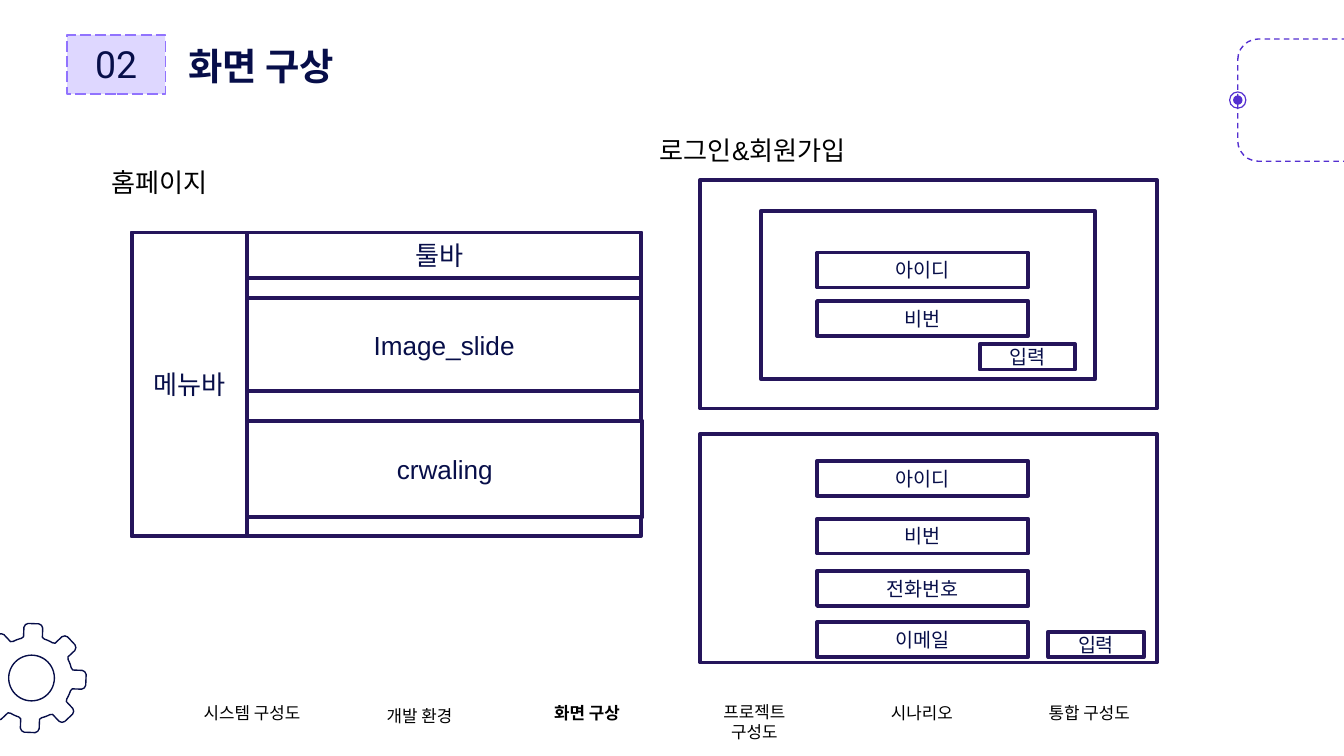
from math import asin, cos, pi, radians, sin

from pptx import Presentation
from pptx.dml.color import RGBColor
from pptx.enum.dml import MSO_LINE
from pptx.enum.shapes import MSO_SHAPE
from pptx.enum.text import MSO_ANCHOR, MSO_AUTO_SIZE, PP_ALIGN
from pptx.util import Inches, Pt

COLORS = {
    "white": "FFFFFF",
    "black": "000000",
    "navy": "070E49",
    "frame": "25155B",
    "violet": "542FD0",
    "lilac": "DED7FF",
    "lilac_edge": "9173FE",
}


def color(key):
    return RGBColor.from_string(COLORS[key])


def paint(shape, fill=None, line=None, weight=0.75, dash=None):
    shape.shadow.inherit = False
    if fill:
        shape.fill.solid()
        shape.fill.fore_color.rgb = color(fill)
    else:
        shape.fill.background()
    if line:
        shape.line.color.rgb = color(line)
        shape.line.width = Pt(weight)
        if dash:
            shape.line.dash_style = dash
    else:
        shape.line.fill.background()


def write(shape, text, size, ink, font="Arial", bold=False,
          align=PP_ALIGN.CENTER, anchor=MSO_ANCHOR.MIDDLE):
    frame = shape.text_frame
    frame.text = text
    frame.word_wrap = True
    frame.vertical_anchor = anchor
    for paragraph in frame.paragraphs:
        paragraph.alignment = align
        for run in paragraph.runs:
            run.font.name = font
            run.font.size = Pt(size)
            run.font.bold = bold
            run.font.color.rgb = color(ink)


def add_shape(slide, kind, left, top, width, height, **style):
    shape = slide.shapes.add_shape(
        kind, Inches(left), Inches(top), Inches(width), Inches(height))
    paint(shape, **style)
    return shape


def add_panel(slide, left, top, width, height, text="", size=14):
    panel = add_shape(slide, MSO_SHAPE.RECTANGLE, left, top, width, height,
                      fill="white", line="frame", weight=2)
    if text:
        write(panel, text, size, "navy")
    return panel


def add_label(slide, left, top, width, height, text, size, **style):
    label = slide.shapes.add_textbox(
        Inches(left), Inches(top), Inches(width), Inches(height))
    write(label, text, size, "black", anchor=MSO_ANCHOR.TOP, **style)
    label.text_frame.auto_size = MSO_AUTO_SIZE.SHAPE_TO_FIT_TEXT


def add_gear(slide, left, top, size):
    teeth, body, tooth_half = 8, 0.305, 0.07
    center_x, center_y = left + size / 2, top + size / 2
    tip = size / 2
    profile = [(body, -tooth_half), (tip - 0.03, -tooth_half),
               (tip - 0.01, -0.06), (tip, -0.04), (tip, 0.04),
               (tip - 0.01, 0.06), (tip - 0.03, tooth_half), (body, tooth_half)]
    root = asin(tooth_half / body)
    step = 2 * pi / teeth
    for i in range(1, 6):
        angle = root + (step - 2 * root) * i / 6
        profile.append((body * cos(angle), body * sin(angle)))
    outline = []
    for tooth in range(teeth):
        turn = radians(2) + tooth * step
        outline += [(Inches(center_x + x * cos(turn) - y * sin(turn)),
                     Inches(center_y + x * sin(turn) + y * cos(turn)))
                    for x, y in profile]
    builder = slide.shapes.build_freeform(*outline[0])
    builder.add_line_segments(outline[1:], close=True)
    paint(builder.convert_to_shape(), line="navy")
    add_shape(slide, MSO_SHAPE.OVAL, center_x - 0.17, center_y - 0.17,
              0.34, 0.34, line="navy")


def add_corner_tab(slide, left, top, width, height):
    tab = add_shape(slide, MSO_SHAPE.ROUNDED_RECTANGLE, left, top, width, height,
                    line="violet", dash=MSO_LINE.DASH)
    tab.adjustments[0] = 0.169
    middle = top + height / 2
    add_shape(slide, MSO_SHAPE.OVAL, left - 0.035, middle - 0.035,
              0.07, 0.07, fill="violet")
    ring = add_shape(slide, MSO_SHAPE.DONUT, left - 0.065, middle - 0.065,
                     0.13, 0.13, fill="violet")
    ring.adjustments[0] = 0.07


def add_header(slide, left, top):
    title = slide.shapes.title
    title.left, title.top = Inches(left + 0.8), Inches(top - 0.04)
    title.width, title.height = Inches(2.29), Inches(0.52)
    write(title, "화면 구상", 20, "navy", font="Roboto", bold=True,
          align=PP_ALIGN.LEFT, anchor=MSO_ANCHOR.TOP)
    frame = title.text_frame
    frame.auto_size = MSO_AUTO_SIZE.NONE
    frame.margin_top = frame.margin_bottom = Inches(0.1)
    number = add_shape(slide, MSO_SHAPE.RECTANGLE, left, top, 0.73, 0.44,
                       fill="lilac", line="lilac_edge", dash=MSO_LINE.LONG_DASH)
    write(number, "02", 20, "navy", font="Roboto")
    number.text_frame.margin_top = Inches(0.09)
    number.text_frame.margin_bottom = Inches(0.1)


def add_navigation(slide, left, top):
    steps = [("시스템 구성도", 0.01), ("개발 환경", 0.03), ("화면 구상", 0.01),
             ("프로젝트\n구성도", 0), ("시나리오", 0.01), ("통합 구성도", 0.01)]
    for i, (step, drop) in enumerate(steps):
        height = 0.4 if "\n" in step else 0.25
        add_label(slide, left + i * 1.246, top + drop, 1.03, height, step, 9,
                  bold=step == "화면 구상")


def add_homepage(slide, left, top, width, height):
    menu_width = 0.86
    add_label(slide, left - 0.25, top - 0.54, 2.29, 0.34, "홈페이지", 14,
              align=PP_ALIGN.LEFT)
    add_panel(slide, left, top, width, height)
    toolbar = add_panel(slide, left + 0.03, top, width - 0.03, 0.34, "툴바")
    toolbar.text_frame.margin_left = Inches(menu_width)
    add_panel(slide, left, top, menu_width, height, "메뉴바")
    add_panel(slide, left + menu_width, top + 0.49, width - menu_width, 0.69,
              "Image_slide")
    add_panel(slide, left + menu_width, top + 1.4, width - menu_width + 0.01,
              0.72, "crwaling")


def add_form(slide, left, top, fields, button):
    for field, drop in fields:
        add_panel(slide, left + 0.87, top + drop, 1.57, 0.26, field, 10.5)
    add_panel(slide, left + button[0], top + button[1], 0.71, 0.19, "입력", 10.5)


def add_login(slide, left, top, width, height):
    add_label(slide, left - 0.4, top - 0.39, 2.29, 0.34, "로그인&회원가입", 14,
              align=PP_ALIGN.LEFT)
    add_panel(slide, left, top, width, height)
    add_panel(slide, left + 0.45, top + 0.23, 2.49, 1.25)
    add_form(slide, left, top, [("아이디", 0.54), ("비번", 0.9)], (2.08, 1.22))


def add_signup(slide, left, top, width, height):
    add_panel(slide, left, top, width, height)
    fields = [("아이디", 0.2), ("비번", 0.63), ("전화번호", 1.02), ("이메일", 1.4)]
    add_form(slide, left, top, fields, (2.59, 1.47))


def main():
    deck = Presentation()
    deck.slide_width = Inches(10)
    deck.slide_height = deck.slide_width * 9 // 16
    slide = deck.slides.add_slide(deck.slide_layouts[5])
    add_gear(slide, -0.17, 4.64, 0.81)
    add_corner_tab(slide, 9.21, 0.29, 1.7, 0.91)
    add_header(slide, 0.5, 0.26)
    add_navigation(slide, 1.36, 5.17)
    add_homepage(slide, 0.98, 1.73, 3.79, 2.26)
    add_login(slide, 5.21, 1.34, 3.4, 1.7)
    add_signup(slide, 5.21, 3.23, 3.4, 1.7)
    deck.save("out.pptx")


if __name__ == "__main__":
    main()
